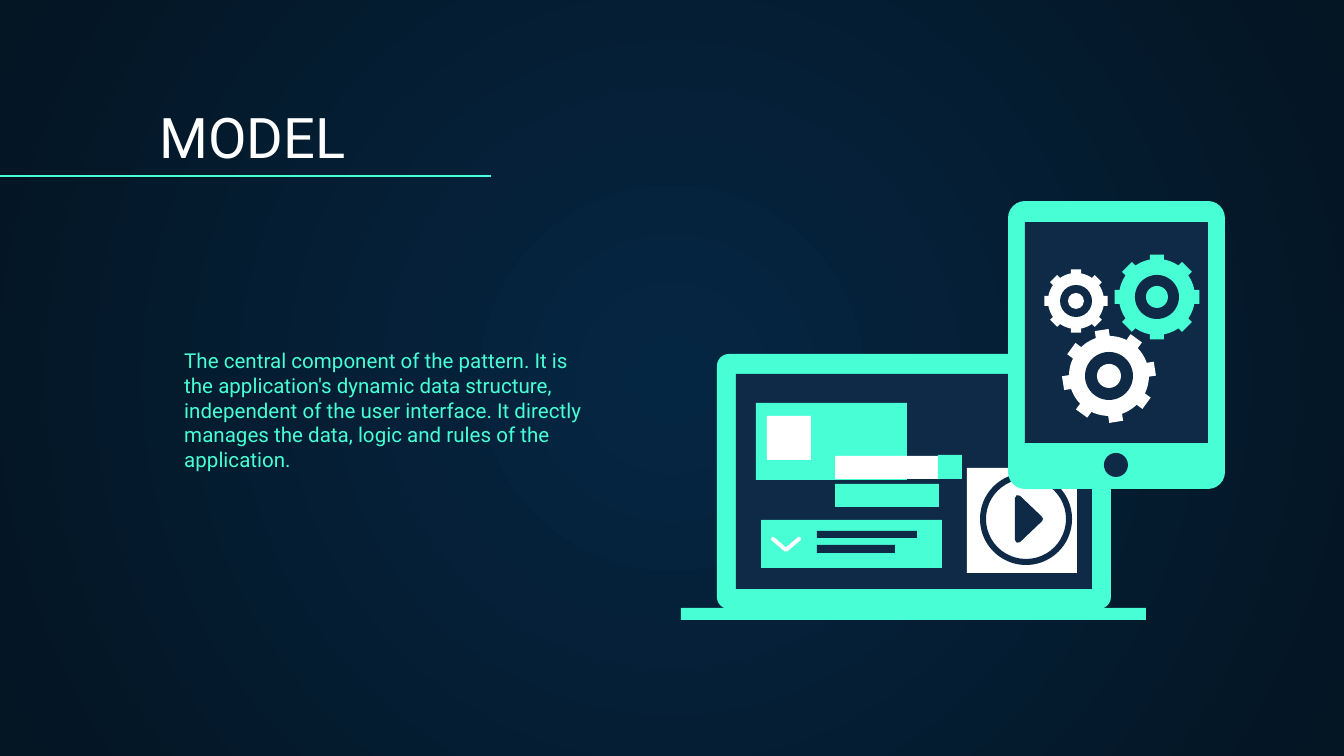
from dataclasses import dataclass
from math import asin, cos, pi, radians, sin

from lxml.etree import SubElement
from pptx import Presentation
from pptx.dml.color import RGBColor
from pptx.enum.shapes import MSO_SHAPE as SHAPE
from pptx.enum.text import MSO_ANCHOR
from pptx.oxml.ns import qn
from pptx.util import Inches, Pt


@dataclass(frozen=True)
class Theme:
    teal: str = "48FFD5"
    navy: str = "0E2A47"
    white: str = "FFFFFF"
    bg_center: str = "052643"
    bg_edge: str = "041523"
    font: str = "Roboto"
    title_size: int = 30
    body_size: int = 11
    rule_width: float = 0.75


T = Theme()
SCALE = Inches(10) / 1344  # EMU per px

TITLE = "MODEL"
BODY = ("The central component of the pattern. It is the application's dynamic data "
        "structure, independent of the user interface. It directly manages the data, "
        "logic and rules of the application.")

# text, (left, top, width, height), size, colour
TEXTS = [
    (TITLE, (146, 94, 1152, 89), T.title_size, T.white),
    (BODY, (171, 282, 444, 203), T.body_size, T.teal),
]
TITLE_RULE = (0, 176, 491, 176)

# left, top, width, height, colour, corner radius
LAPTOP = [
    (717, 354, 394, 255, T.teal, 12),
    (736, 374, 356, 215, T.navy, 0),
    (681, 608, 465, 12, T.teal, 0),
    (756, 403, 151, 77, T.teal, 0),
    (767, 416, 44, 44, T.white, 0),
    (761, 520, 181, 48, T.teal, 0),
    (817, 531, 100, 7, T.navy, 0),
    (817, 545, 78, 8, T.navy, 0),
    (835, 484, 104, 23, T.teal, 0),
    (835, 456, 104, 23, T.white, 0),
    (938, 455, 24, 24, T.teal, 0),
    (967, 468, 110, 105, T.white, 0),
]
TABLET = [
    (1008, 201, 217, 288, T.teal, 17),
    (1025, 222, 183, 221, T.navy, 0),
]
CHEVRON = [(773, 539), (786, 550), (799, 539)]
PLAY_RING = (1026, 519, 46, 6)  # centre x, centre y, radius, thickness
PLAY_ARROW = [(1018, 498), (1018, 540), (1040, 519)]
HOME_BUTTON = (1116, 465, 12)

# centre, tip radius, body radius, half tooth, hole radius, hub radius, turn, colour
GEARS = [
    ((1157, 297), 43, 38, 7, 22, 11, 0, T.teal),
    ((1076, 301), 32, 28, 5, 16, 8, 0, T.white),
    ((1109, 376), 47, 40, 7, 24, 12, -9, T.white),
]
TEETH = 8
ARC_STEPS = 6


def px(value):
    return round(value * SCALE)


def rgb(color):
    return RGBColor.from_string(color)


def paint(sp, color):
    sp.shadow.inherit = False
    sp.fill.solid()
    sp.fill.fore_color.rgb = rgb(color)
    sp.line.fill.background()


def add_preset(s, kind, box, color):
    sp = s.shapes.add_shape(kind, *map(px, box))
    paint(sp, color)
    return sp


def add_block(s, x, y, w, h, color, radius):
    kind = SHAPE.ROUNDED_RECTANGLE if radius else SHAPE.RECTANGLE
    sp = add_preset(s, kind, (x, y, w, h), color)
    if radius:
        sp.adjustments[0] = radius / min(w, h)


def add_round(s, x, y, radius, color, kind=SHAPE.OVAL):
    return add_preset(s, kind, (x - radius, y - radius, 2 * radius, 2 * radius), color)


def add_path(s, points, color, close=True):
    start, *rest = [(px(x), px(y)) for x, y in points]
    builder = s.shapes.build_freeform(*start)
    builder.add_line_segments(rest, close=close)
    sp = builder.convert_to_shape()
    paint(sp, color)
    return sp


def round_outline(sp, color, width):
    """Give the shape an outline with round ends and corners."""
    sp.line.color.rgb = rgb(color)
    sp.line.width = px(width)
    ln = sp.element.spPr.find(qn("a:ln"))
    ln.set("cap", "rnd")
    SubElement(ln, qn("a:round"))


def gear_outline(center, tip, body, half_tooth, turn):
    """Points around a toothed wheel: each tooth, then the arc to the next."""
    pitch = 2 * pi / TEETH
    base, top = asin(half_tooth / body), asin(half_tooth / tip)
    polar = []
    for i in range(TEETH):
        mid = i * pitch + radians(turn)
        polar += [(tip, mid - top), (tip, mid + top)]
        gap = pitch - 2 * base
        polar += [(body, mid + base + gap * k / ARC_STEPS) for k in range(ARC_STEPS + 1)]
    return [(center[0] + r * cos(a), center[1] + r * sin(a)) for r, a in polar]


def add_gear(s, center, tip, body, half_tooth, hole, hub, turn, color):
    add_path(s, gear_outline(center, tip, body, half_tooth, turn), color)
    add_round(s, *center, hole, T.navy)
    add_round(s, *center, hub, color)


def add_text(s, text, box, size, color):
    tf = s.shapes.add_textbox(*map(px, box)).text_frame
    tf.word_wrap = True
    tf.vertical_anchor = MSO_ANCHOR.BOTTOM
    tf.margin_left = tf.margin_right = tf.margin_top = tf.margin_bottom = Inches(0.1)
    tf.text = text
    font = tf.paragraphs[0].runs[0].font
    font.name, font.size, font.color.rgb = T.font, Pt(size), rgb(color)


def add_rule(s, ends):
    line = s.shapes.add_connector(1, *map(px, ends))
    line.line.color.rgb = rgb(T.teal)
    line.line.width = Pt(T.rule_width)
    SubElement(line._element.spPr, qn("a:effectLst"))


def set_background(s):
    """Radial gradient from the slide centre to its edges."""
    fill = s.background.fill
    fill.gradient()
    for stop, color in zip(fill.gradient_stops, (T.bg_center, T.bg_edge)):
        stop.color.rgb = rgb(color)
    grad = s.element.find(".//" + qn("a:gradFill"))
    grad.remove(grad.find(qn("a:lin")))
    circle = SubElement(grad, qn("a:path"), path="circle")
    SubElement(circle, qn("a:fillToRect"), {side: "50000" for side in "ltrb"})


def main():
    prs = Presentation()
    prs.slide_width, prs.slide_height = px(1344), px(756)
    s = prs.slides.add_slide(prs.slide_layouts[6])
    set_background(s)
    add_rule(s, TITLE_RULE)

    for block in LAPTOP:
        add_block(s, *block)
    chevron = add_path(s, CHEVRON, T.white, close=False)
    chevron.fill.background()
    round_outline(chevron, T.white, 4)
    x, y, radius, thickness = PLAY_RING
    ring = add_round(s, x, y, radius, T.navy, SHAPE.DONUT)
    ring.adjustments[0] = thickness / (2 * radius)
    round_outline(add_path(s, PLAY_ARROW, T.navy), T.navy, 6)

    for block in TABLET:
        add_block(s, *block)
    add_round(s, *HOME_BUTTON, T.navy)
    for gear in GEARS:
        add_gear(s, *gear)

    for text in TEXTS:
        add_text(s, *text)
    prs.save("out.pptx")


if __name__ == "__main__":
    main()
